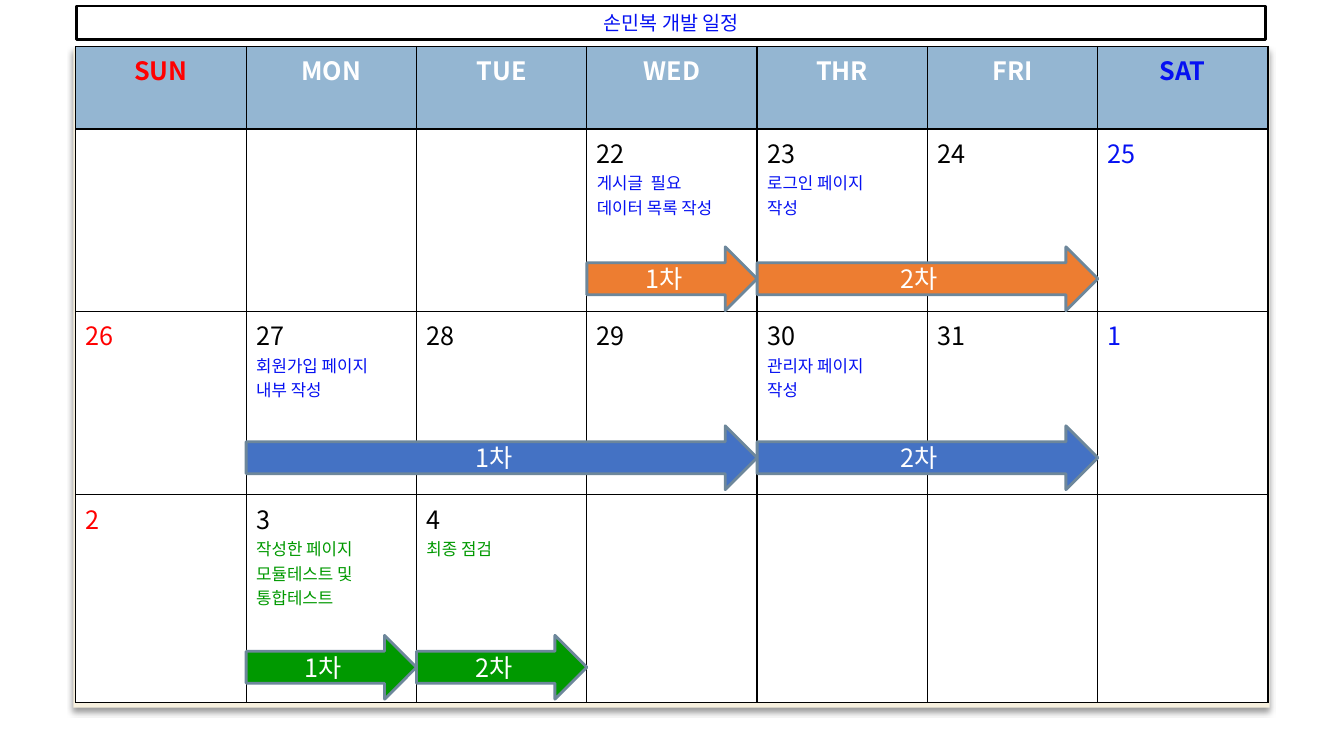
from dataclasses import dataclass
from lxml.etree import SubElement
from pptx import Presentation
from pptx.dml.color import RGBColor
from pptx.enum.shapes import MSO_SHAPE
from pptx.enum.text import MSO_ANCHOR, MSO_AUTO_SIZE, PP_ALIGN
from pptx.oxml import parse_xml
from pptx.oxml.ns import nsdecls, qn
from pptx.util import Cm, Pt


@dataclass(frozen=True)
class Theme:
    font: str = "Noto Sans CJK KR"
    large: int = 18
    title: int = 14
    small: int = 12
    black: str = "000000"
    white: str = "FFFFFF"
    red: str = "FF0000"
    blue: str = "0611F2"
    green: str = "009900"
    orange: str = "ED7D31"
    arrow_blue: str = "4472C4"
    outline: str = "6D879B"
    header: str = "94B6D2"
    backing: str = "F7F0DE"


theme = Theme()


def format_text(p, size, color, bold=False, align=PP_ALIGN.LEFT):
    p.alignment = align
    for r in p.runs:
        r.font.size = Pt(size)
        r.font.bold = bold
        r.font.name = theme.font
        r.font.color.rgb = RGBColor.from_string(color)
        SubElement(r.font._element, qn("a:ea"), typeface=theme.font)


def paint(s, fill, line):
    s.fill.solid()
    s.fill.fore_color.rgb = RGBColor.from_string(fill)
    s.line.color.rgb = RGBColor.from_string(line)
    s.line.width = Pt(2)


prs = Presentation()
prs.slide_width, prs.slide_height = Cm(33.87), Cm(19.05)
slide = prs.slides.add_slide(prs.slide_layouts[5])

title = slide.shapes.title
title.left, title.top, title.width, title.height = Cm(1.93), Cm(0.15), Cm(29.97), Cm(0.84)
paint(title, theme.white, theme.black)
tf = title.text_frame
tf.text = "손민복 개발 일정"
tf.auto_size = MSO_AUTO_SIZE.NONE
tf.vertical_anchor = MSO_ANCHOR.MIDDLE
format_text(tf.paragraphs[0], theme.title, theme.blue, align=PP_ALIGN.CENTER)

backing = slide.shapes.add_shape(MSO_SHAPE.RECTANGLE, Cm(1.85), Cm(1.22), Cm(30.15), Cm(16.61))
paint(backing, theme.backing, theme.backing)
backing.line.fill.background()
backing._element.spPr.append(parse_xml(
    f'<a:effectLst {nsdecls("a")}><a:outerShdw blurRad="{Pt(4)}" dist="{Pt(3)}" dir="5400000">'
    f'<a:srgbClr val="{theme.black}"><a:alpha val="40000"/></a:srgbClr>'
    '</a:outerShdw></a:effectLst>'))

weeks = [
    ["SUN", "MON", "TUE", "WED", "THR", "FRI", "SAT"],
    ["", "", "", "22\n게시글  필요\n데이터 목록 작성", "23\n로그인 페이지\n작성", "24", "25"],
    ["26", "27\n회원가입 페이지\n내부 작성", "28", "29", "30\n관리자 페이지\n작성", "31", "1"],
    ["2", "3\n작성한 페이지\n모듈테스트 및\n통합테스트", "4\n최종 점검", "", "", "", ""],
]
row_heights = [2.08, 4.6, 4.62, 5.23]
note_colors = [theme.white, theme.blue, theme.blue, theme.green]
left, top, width = 1.91, 1.17, 30.05
day_width = width / 7

calendar = slide.shapes.add_table(4, 7, Cm(left), Cm(top), Cm(width), Cm(sum(row_heights))).table
calendar.first_row = calendar.horz_banding = False
for col in calendar.columns:
    col.width = Cm(day_width)
for i, week in enumerate(weeks):
    calendar.rows[i].height = Cm(row_heights[i])
    is_header = i == 0
    weekday_color = theme.white if is_header else theme.black
    day_colors = [theme.red] + [weekday_color] * 5 + [theme.blue]
    for j, text in enumerate(week):
        cell = calendar.cell(i, j)
        tcPr = cell._tc.get_or_add_tcPr()
        for side in ("lnL", "lnR", "lnT", "lnB"):
            tcPr.append(parse_xml(
                f'<a:{side} {nsdecls("a")} w="{Pt(1)}"><a:solidFill>'
                f'<a:srgbClr val="{theme.black}"/></a:solidFill></a:{side}>'))
        cell.fill.solid()
        cell.fill.fore_color.rgb = RGBColor.from_string(theme.header if is_header else theme.white)
        cell.text_frame.text = text
        day, *notes = cell.text_frame.paragraphs
        align = PP_ALIGN.CENTER if is_header else PP_ALIGN.LEFT
        format_text(day, theme.large, day_colors[j], is_header, align)
        for p in notes:
            format_text(p, theme.small, note_colors[i])

arrows = [
    ("1차", 3, 1, 6.22, theme.orange),
    ("2차", 4, 2, 6.22, theme.orange),
    ("1차", 1, 3, 10.73, theme.arrow_blue),
    ("2차", 4, 2, 10.73, theme.arrow_blue),
    ("1차", 1, 1, 16.01, theme.green),
    ("2차", 2, 1, 16.01, theme.green),
]
for text, first_day, days, y, color in arrows:
    s = slide.shapes.add_shape(MSO_SHAPE.RIGHT_ARROW, Cm(left + first_day * day_width), Cm(y),
                               Cm(days * day_width), Cm(1.61))
    s.shadow.inherit = False
    paint(s, color, theme.outline)
    s.text_frame.text = text
    s.text_frame.vertical_anchor = MSO_ANCHOR.MIDDLE
    format_text(s.text_frame.paragraphs[0], theme.large, theme.white, align=PP_ALIGN.CENTER)

prs.save("out.pptx")
